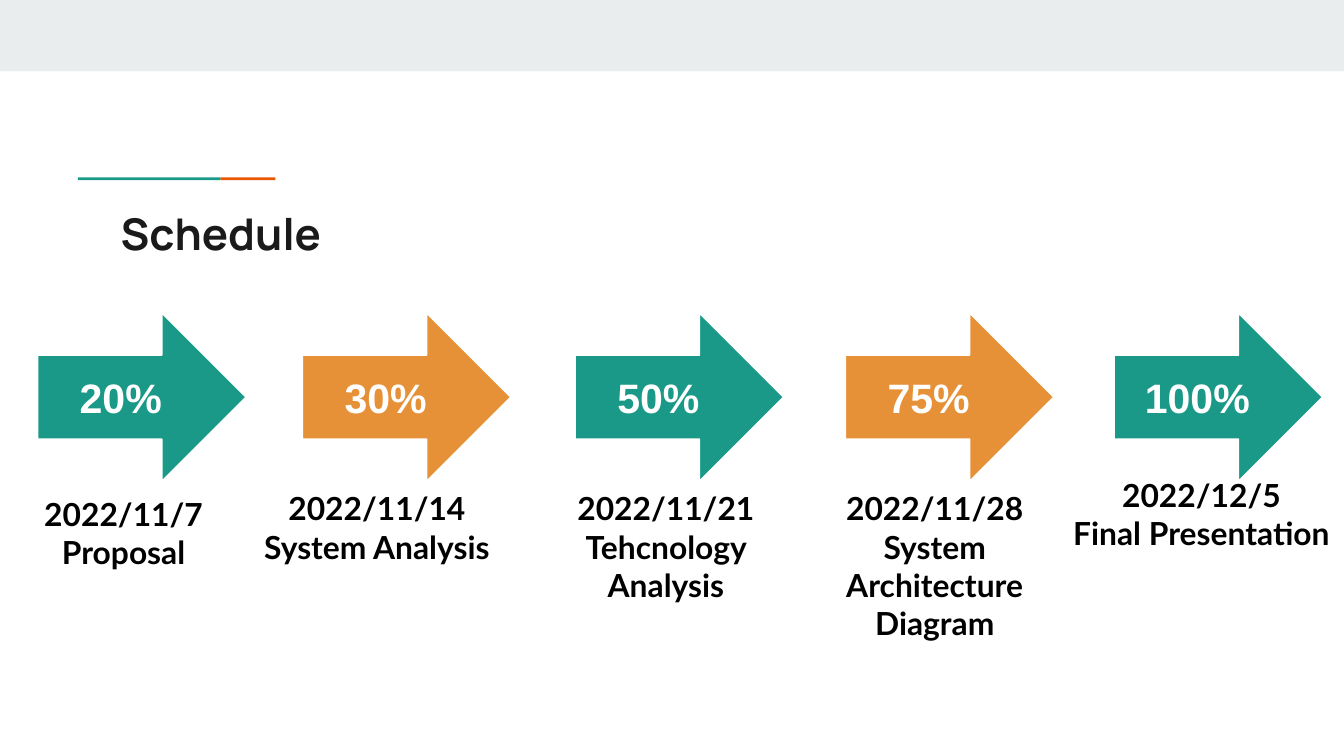
from dataclasses import dataclass

from pptx import Presentation
from pptx.dml.color import RGBColor
from pptx.enum.shapes import MSO_SHAPE as Kind
from pptx.enum.text import MSO_ANCHOR as Anchor, PP_ALIGN as Align
from pptx.util import Inches, Pt

WIDE = 10
HIGH = WIDE * 9 / 16

HUES = {
    "band": "E9EDEE",
    "teal": "1A9988",
    "rust": "EB5600",
    "gold": "E69138",
    "ink": "1A1A1A",
    "black": "000000",
    "white": "FFFFFF",
}


@dataclass
class Box:
    left: float
    top: float
    width: float
    height: float

    def place(self) -> list:
        return [Inches(n) for n in (self.left, self.top, self.width, self.height)]


@dataclass
class Font:
    name: str
    size: float
    hue: str


@dataclass
class Step:
    left: float
    share: str
    hue: str
    label: Box
    lines: list[str]


HEAD = Font("Manrope", 23.4, "ink")
SHARE = Font("Arial", 22, "white")
LABEL = Font("Lato", 17, "black")

STEPS = [
    Step(0.28, "20%", "teal", Box(0.21, 3.58, 1.42, 0.77),
         ["2022/11/7", "Proposal"]),
    Step(2.25, "30%", "gold", Box(1.81, 3.54, 1.99, 0.77),
         ["2022/11/14", "System Analysis"]),
    Step(4.28, "50%", "teal", Box(3.96, 3.54, 1.99, 1.35),
         ["2022/11/21", "Tehcnology Analysis"]),
    Step(6.29, "75%", "gold", Box(5.96, 3.54, 1.99, 1.35),
         ["2022/11/28", "System", "Architecture", "Diagram"]),
    Step(8.29, "100%", "teal", Box(7.75, 3.44, 2.38, 0.77),
         ["2022/12/5", "Final Presentation"]),
]


def tint(name: str) -> RGBColor:
    return RGBColor.from_string(HUES[name])


def write(shape, lines: list[str], font: Font, align: Align, anchor: Anchor) -> None:
    frame = shape.text_frame
    frame.word_wrap = True
    frame.vertical_anchor = anchor
    frame.margin_left = frame.margin_right = Inches(0.1)
    frame.margin_top = frame.margin_bottom = Inches(0.1)
    frame.text = "\n".join(lines)
    for para in frame.paragraphs:
        para.alignment = align
        para.font.name = font.name
        para.font.size = Pt(font.size)
        para.font.bold = True
        para.font.color.rgb = tint(font.hue)


def draw(slide, kind: Kind, box: Box, hue: str):
    shape = slide.shapes.add_shape(kind, *box.place())
    shape.shadow.inherit = False
    shape.fill.solid()
    shape.fill.fore_color.rgb = tint(hue)
    shape.line.fill.background()
    return shape


def add_text(slide, box: Box, lines: list[str], font: Font, align: Align) -> None:
    write(slide.shapes.add_textbox(*box.place()), lines, font, align, Anchor.TOP)


def add_step(slide, step: Step) -> None:
    arrow = draw(slide, Kind.RIGHT_ARROW, Box(step.left, 2.33, 1.55, 1.25), step.hue)
    arrow.line.color.rgb = tint("white")
    arrow.line.width = Pt(0.75)
    write(arrow, [step.share], SHARE, Align.CENTER, Anchor.MIDDLE)
    add_text(slide, step.label, step.lines, LABEL, Align.CENTER)


def main() -> None:
    deck = Presentation()
    deck.slide_width, deck.slide_height = Inches(WIDE), Inches(HIGH)
    slide = deck.slides.add_slide(deck.slide_layouts[6])

    # Top band and two-tone rule
    draw(slide, Kind.RECTANGLE, Box(0, 0, WIDE, 0.53), "band")
    draw(slide, Kind.RECTANGLE, Box(1.64, 1.32, 0.41, 0.02), "rust")
    draw(slide, Kind.RECTANGLE, Box(0.58, 1.32, 1.06, 0.02), "teal")

    # Title
    add_text(slide, Box(0.8, 1.44, 8.41, 0.59), ["Schedule"], HEAD, Align.LEFT)

    # Arrows with their dates
    for step in STEPS:
        add_step(slide, step)

    deck.save("out.pptx")


if __name__ == "__main__":
    main()
